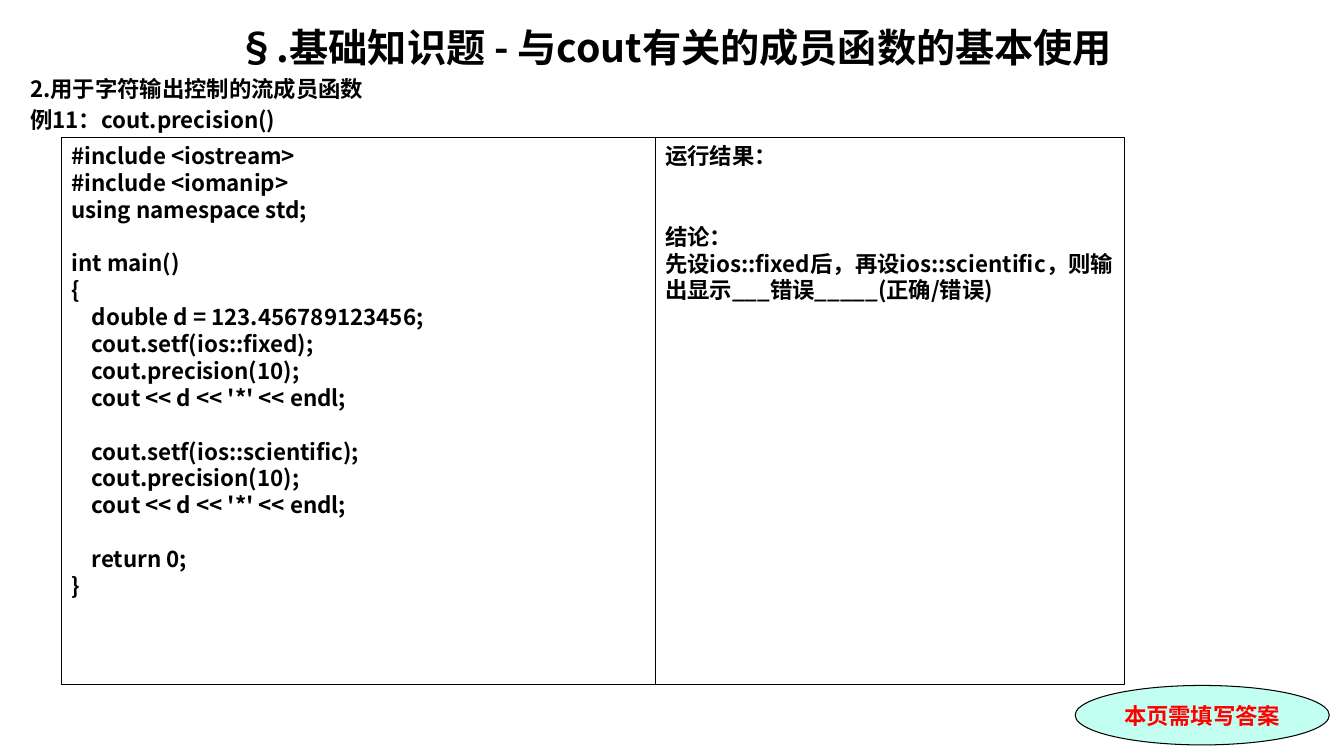
import pptx
import pptx.util
import pptx.dml.color
import pptx.enum.shapes
import pptx.enum.text
import pptx.oxml
import pptx.oxml.ns

Pt = pptx.util.Pt
Color = pptx.dml.color.RGBColor
Kind = pptx.enum.shapes.MSO_SHAPE
Align = pptx.enum.text.PP_ALIGN
Anchor = pptx.enum.text.MSO_ANCHOR

BLACK = Color(0, 0, 0)
RED = Color(0xFF, 0, 0)
MINT = Color(0xC2, 0xFF, 0xF0)
SANS = "Noto Sans CJK SC"
SERIF = "Times New Roman"
LEAD = 1.2

TEXT = {"size": Pt(16), "name": SANS, "bold": True}
HEAD = {**TEXT, "size": Pt(28)}
NOTE = {**TEXT, "name": SERIF}

CODE = """#include <iostream>
#include <iomanip>
using namespace std;

int main()
{
    double d = 123.456789123456;
    cout.setf(ios::fixed);
    cout.precision(10);
    cout << d << '*' << endl;

    cout.setf(ios::scientific);
    cout.precision(10);
    cout << d << '*' << endl;

    return 0;
}"""
RESULT = """运行结果：


结论：
先设ios::fixed后，再设ios::scientific，则输出显示___错误_____(正确/错误)"""
TOPIC = """2.用于字符输出控制的流成员函数
例11：cout.precision()"""


def place(shape, box):
    for key, value in zip(("left", "top", "width", "height"), box):
        setattr(shape, key, Pt(value))


def write(shape, text, form, color=BLACK, align=Align.LEFT,
          anchor=Anchor.TOP, gap=0):
    frame = shape.text_frame
    setup = {"word_wrap": True, "vertical_anchor": anchor,
             "auto_size": pptx.enum.text.MSO_AUTO_SIZE.NONE,
             "margin_left": Pt(7.2), "margin_right": Pt(7.2),
             "margin_top": Pt(3.6), "margin_bottom": Pt(3.6)}
    for key, value in setup.items():
        setattr(frame, key, value)
    step = form["size"].pt * LEAD
    para, blank = None, 0
    for line in text.split("\n"):
        if not line:
            blank += 1
            continue
        first = para is None
        para = frame.paragraphs[0] if first else frame.add_paragraph()
        para.alignment = align
        para.line_spacing = Pt(step)
        para.space_before = Pt(0 if first else gap + blank * step)
        para.space_after = Pt(0)
        blank = 0
        run = para.add_run()
        run.text = line
        for key, value in form.items():
            setattr(run.font, key, value)
        run.font.color.rgb = color
        east = pptx.oxml.parse_xml(
            f'<a:ea {pptx.oxml.ns.nsdecls("a")} typeface="{SANS}"/>')
        run.font._element.find(pptx.oxml.ns.qn("a:latin")).addnext(east)


def panel(slide, kind, box, fill=None):
    shape = slide.shapes.add_shape(kind, *map(Pt, box))
    shape.shadow.inherit = False
    if fill is None:
        shape.fill.background()
    else:
        shape.fill.solid()
        shape.fill.fore_color.rgb = fill
    shape.line.color.rgb = BLACK
    shape.line.width = Pt(0.75)
    return shape


def header(slide, box):
    left, top, width, height = box
    title, body = slide.placeholders
    place(title, (left, top, width, 40.8))
    write(title, "§.基础知识题 - 与cout有关的成员函数的基本使用", HEAD,
          align=Align.CENTER)
    place(body, (left, top + 36.8, width, height - 36.8))
    write(body, TOPIC, TEXT, gap=3.2)


def example(slide, box):
    left, top, width, height = box
    split = 424
    code = panel(slide, Kind.RECTANGLE, (left, top, split, height))
    write(code, CODE, TEXT)
    area = (left + split, top, width - split, height)
    write(panel(slide, Kind.RECTANGLE, area), RESULT, TEXT)


def badge(slide, box):
    shape = panel(slide, Kind.OVAL, box, MINT)
    write(shape, "本页需填写答案", NOTE, RED, Align.CENTER, Anchor.MIDDLE)


def main():
    deck = pptx.Presentation()
    deck.slide_width, deck.slide_height = Pt(960), Pt(540)
    slide = deck.slides.add_slide(deck.slide_layouts[0])
    header(slide, (14.4, 13, 935.3, 510.5))
    example(slide, (44, 98, 759.5, 391))
    badge(slide, (768, 489.6, 181.5, 42.5))
    deck.save("out.pptx")


if __name__ == "__main__":
    main()
